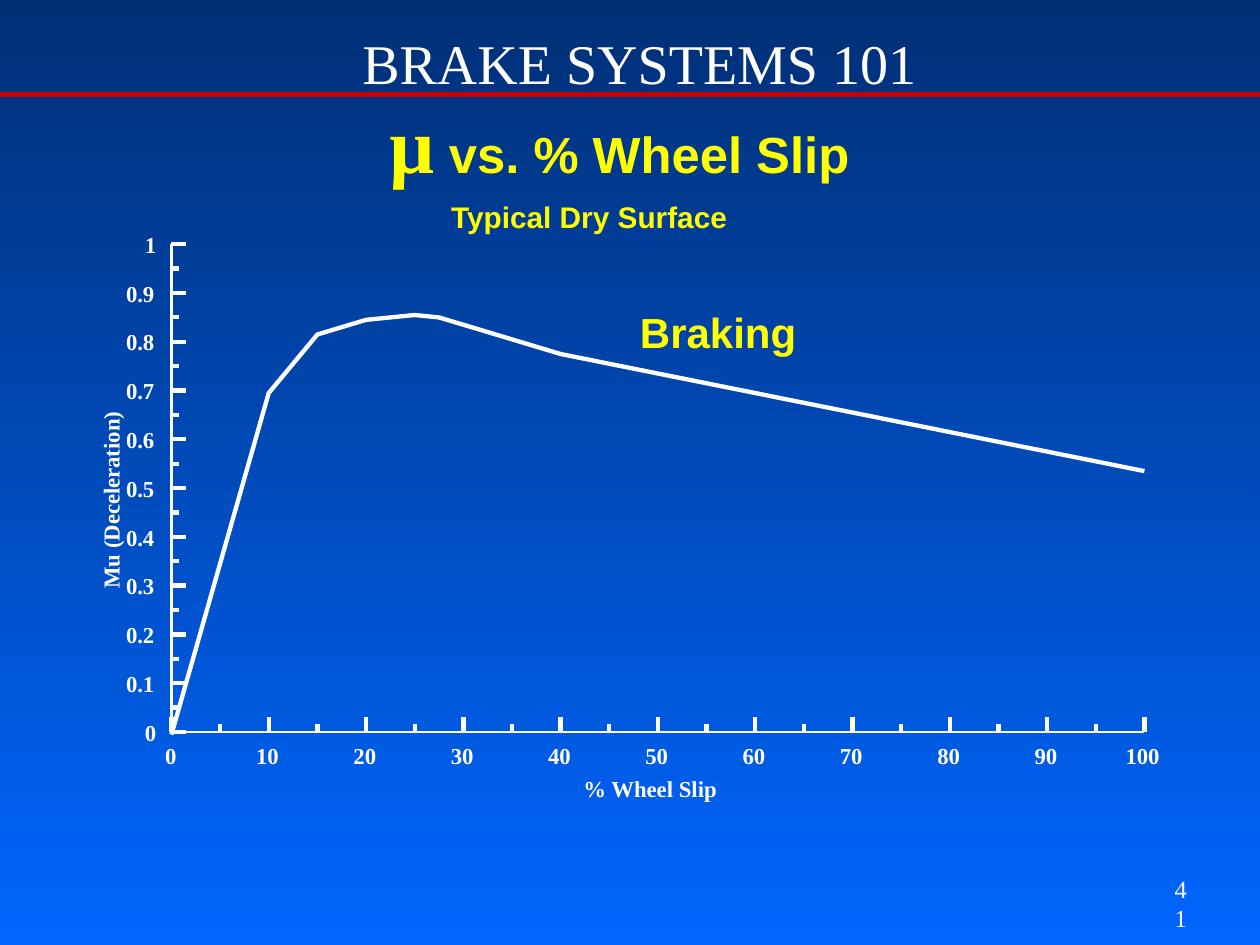
from pptx import Presentation
from pptx.dml.color import RGBColor
from pptx.enum.shapes import MSO_CONNECTOR
from pptx.enum.text import MSO_ANCHOR, MSO_AUTO_SIZE, PP_ALIGN
from pptx.oxml.ns import qn
from pptx.util import Pt
from lxml.etree import SubElement

WHITE, YELLOW, RED = "FFFFFF", "FFFF00", "CC0000"
SERIF, SANS = "Times New Roman", "Arial"

# Plot area, in points
LEFT, BOTTOM = 98, 418.3
X_STEP, Y_STEP = 55.6, 27.88
MINOR_TICK, MAJOR_TICK = 4.4, 8.4
CURVE_BOTTOM = 419.8

# Wheel slip in percent, and mu; beyond 40 percent mu falls evenly
SLIP_CURVE = [(0, 0), (5, 0.35), (10, 0.7), (15, 0.82), (20, 0.85),
              (22.5, 0.855), (25, 0.86), (27.5, 0.855), (30, 0.84), (35, 0.81)]
SLIP_CURVE += [(slip, 0.78 - 0.004 * (slip - 40)) for slip in range(40, 101, 5)]


def color(value):
    return RGBColor.from_string(value)


def add_span(para, text, size=13, font=SERIF, fill=WHITE, bold=True):
    span = para.add_run()
    span.text = text
    span.font.size = Pt(size)
    span.font.name = font
    span.font.bold = bold
    span.font.color.rgb = color(fill)


class SlideBuilder:
    def __init__(self, slide):
        self.slide = slide

    def background(self, top, bottom):
        fill = self.slide.background.fill
        fill.gradient()
        fill.gradient_angle = 270
        for stop, value in zip(fill.gradient_stops, (top, bottom)):
            stop.color.rgb = color(value)

    def text(self, left, top, width, height, spans, align=PP_ALIGN.LEFT,
             anchor=MSO_ANCHOR.TOP, inset=False, wrap=True, grow=False,
             rotation=0, indent=0):
        """Add a box with one paragraph of (text, format) spans."""
        box = self.slide.shapes.add_textbox(Pt(left), Pt(top), Pt(width), Pt(height))
        box.rotation = rotation
        frame = box.text_frame
        frame.word_wrap = wrap
        frame.vertical_anchor = anchor
        if grow:
            frame.auto_size = MSO_AUTO_SIZE.SHAPE_TO_FIT_TEXT
        frame.margin_left = frame.margin_right = Pt(7.2 if inset else 0)
        frame.margin_top = frame.margin_bottom = Pt(3.6 if inset else 0)
        para = frame.paragraphs[0]
        para.alignment = align
        if indent:
            para._p.get_or_add_pPr().set("marL", str(Pt(indent)))
        for text, style in spans:
            add_span(para, text, **style)

    def line(self, start, end, width=2.47, stroke=WHITE):
        ends = [Pt(value) for value in (*start, *end)]
        line = self.slide.shapes.add_connector(MSO_CONNECTOR.STRAIGHT, *ends)
        line.line.color.rgb = color(stroke)
        line.line.width = Pt(width)
        SubElement(line._element.spPr, qn("a:effectLst"))

    def outline(self, points, width, stroke=WHITE):
        points = [(Pt(x), Pt(y)) for x, y in points]
        builder = self.slide.shapes.build_freeform(*points[0], scale=1.0)
        builder.add_line_segments(points[1:], close=False)
        shape = builder.convert_to_shape()
        shape.shadow.inherit = False
        shape.fill.background()
        shape.line.color.rgb = color(stroke)
        shape.line.width = Pt(width)


def draw_axes(page):
    right, top = LEFT + 10 * X_STEP, BOTTOM - 10 * Y_STEP

    # Labels
    for index in range(11):
        label = str(index * 10)
        x = LEFT + index * X_STEP
        page.text(x - 3.6 * len(label), 424, 7.6 * len(label), 16, [(label, {})])
    for index in range(11):
        label = f"{index / 10:g}"
        width = 8 if len(label) == 1 else 18.8
        y = BOTTOM - index * Y_STEP
        page.text(90.8 - width, y - 7.9, width, 16, [(label, {})],
                  anchor=MSO_ANCHOR.MIDDLE)

    # Ticks: every half step, longer at whole steps
    for half in range(21):
        length = MINOR_TICK if half % 2 else MAJOR_TICK
        x = LEFT + half * X_STEP / 2
        y = BOTTOM - half * Y_STEP / 2
        page.line((x, BOTTOM), (x, BOTTOM - length))
        page.line((LEFT, y), (LEFT + length, y))

    page.outline([(LEFT, top), (LEFT, BOTTOM), (right, BOTTOM)], 1.5)

    # Axis titles
    page.text(333.4, 442.8, 89.3, 16, [("% Wheel Slip", {})])
    page.text(4.3, 268.6, 118.8, 16.6, [("Mu (Deceleration)", {})], rotation=270)


def main():
    deck = Presentation()
    deck.slide_width, deck.slide_height = Pt(720), Pt(540)
    page = SlideBuilder(deck.slides.add_slide(deck.slide_layouts[6]))
    page.background("002F75", "0066FF")

    # Header
    page.text(128.2, 12.2, 474.5, 46.1,
              [("BRAKE SYSTEMS 101", {"size": 32, "bold": False})],
              align=PP_ALIGN.CENTER, anchor=MSO_ANCHOR.MIDDLE, inset=True, grow=True)
    page.line((0, 54), (720, 54), width=3, stroke=RED)

    # Chart titles
    page.text(210.2, 54, 288, 48.2,
              [("µ", {"size": 45, "fill": YELLOW}),
               (" vs. % Wheel Slip", {"size": 29, "font": SANS, "fill": YELLOW})],
              align=PP_ALIGN.CENTER)
    page.text(257.8, 113.8, 161.3, 19.4,
              [("Typical Dry Surface", {"size": 17, "font": SANS, "fill": YELLOW})])

    # Chart
    draw_axes(page)
    page.outline([(LEFT + slip / 10 * X_STEP, CURVE_BOTTOM - mu * 10 * Y_STEP)
                  for slip, mu in SLIP_CURVE], 2.47)
    page.text(358.6, 171.4, 103.7, 36,
              [("Braking", {"size": 24, "font": SANS, "fill": YELLOW})],
              inset=True, wrap=False, grow=True)

    # Page number
    page.text(653.8, 504, 31, 24.5, [("41", {"size": 14, "bold": False})],
              align=PP_ALIGN.RIGHT, anchor=MSO_ANCHOR.MIDDLE, inset=True, indent=17.3)

    deck.save("out.pptx")


if __name__ == "__main__":
    main()
